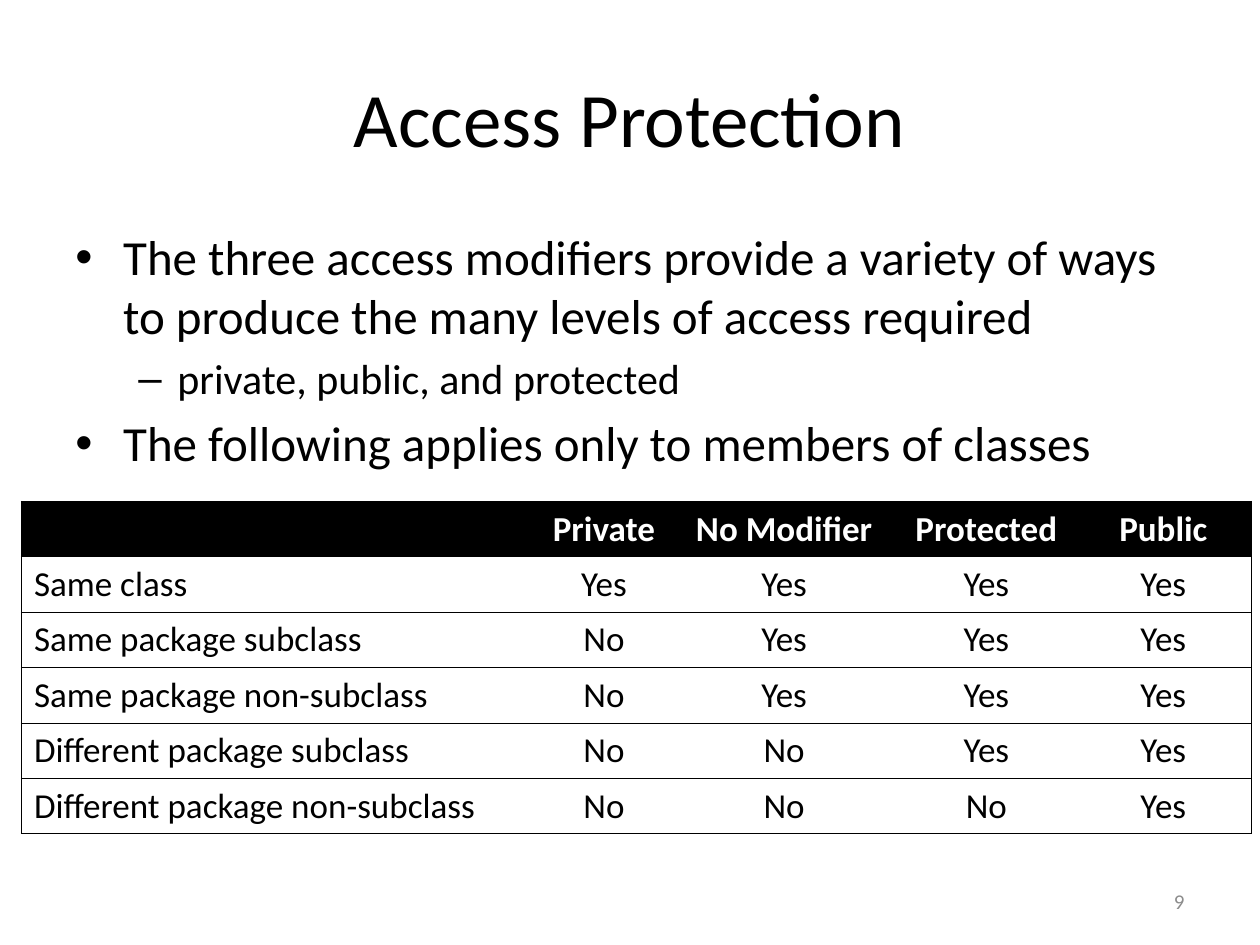
from lxml.etree import SubElement
from pptx import Presentation
from pptx.dml.color import RGBColor
from pptx.enum.text import MSO_ANCHOR as Anchor, PP_ALIGN as Align
from pptx.oxml.ns import qn
from pptx.util import Inches, Pt

COLORS = {"text": "000000", "paper": "FFFFFF", "muted": "8C8C8C", "line": "000000"}
FONT = "Calibri"
LEVELS = [
    {"size": 28, "bullet": "•", "margin": 0.38, "hanging": 0.38},
    {"size": 24, "bullet": "–", "margin": 0.81, "hanging": 0.31},
]
BULLETS = [
    (0, "The three access modifiers provide a variety of ways to produce the many levels of access required"),
    (1, "private, public, and protected"),
    (0, "The following applies only to members of classes"),
]
COLUMN_WIDTHS = [4.09, 1.13, 1.73, 1.48, 1.33]
ROW_HEIGHT = 0.44
ACCESS_ROWS = [
    ["", "Private", "No Modifier", "Protected", "Public"],
    ["Same class", "Yes", "Yes", "Yes", "Yes"],
    ["Same package subclass", "No", "Yes", "Yes", "Yes"],
    ["Same package non-subclass", "No", "Yes", "Yes", "Yes"],
    ["Different package subclass", "No", "No", "Yes", "Yes"],
    ["Different package non-subclass", "No", "No", "No", "Yes"],
]


def set_values(target, values):
    for name, value in values.items():
        setattr(target, name, value)


def write_text(paragraph, text, size, color="text", align=Align.LEFT, bold=False):
    paragraph.alignment = align
    run = paragraph.add_run()
    run.text = text
    set_values(run.font, {"name": FONT, "size": Pt(size), "bold": bold})
    run.font.color.rgb = RGBColor.from_string(COLORS[color])


def add_frame(slide, box, anchor):
    frame = slide.shapes.add_textbox(*map(Inches, box)).text_frame
    set_values(frame, {"word_wrap": True, "vertical_anchor": anchor})
    return frame


def add_line(slide, box, text, size, **style):
    frame = add_frame(slide, box, Anchor.MIDDLE)
    write_text(frame.paragraphs[0], text, size, **style)


def add_bullets(slide, box, items):
    frame = add_frame(slide, box, Anchor.TOP)
    for index, (depth, text) in enumerate(items):
        paragraph = frame.add_paragraph() if index else frame.paragraphs[0]
        level = LEVELS[depth]
        set_values(paragraph, {"level": depth, "space_before": Pt(level["size"] * 0.2)})
        write_text(paragraph, text, level["size"])
        properties = paragraph._p.get_or_add_pPr()
        properties.set("marL", str(Inches(level["margin"])))
        properties.set("indent", str(-Inches(level["hanging"])))
        SubElement(properties, qn("a:buFont"), typeface="Arial")
        SubElement(properties, qn("a:buChar"), char=level["bullet"])


def set_borders(cell, visible):
    properties = cell._tc.get_or_add_tcPr()
    for side in "LRTB":
        line = SubElement(properties, qn(f"a:ln{side}"), w=str(Pt(0.75)))
        if side in visible:
            fill = SubElement(line, qn("a:solidFill"))
            SubElement(fill, qn("a:srgbClr"), val=COLORS["line"])
        else:
            SubElement(line, qn("a:noFill"))


def add_access_table(slide, left, top, rows):
    width, height = sum(COLUMN_WIDTHS), ROW_HEIGHT * len(rows)
    box = map(Inches, (left, top, width, height))
    table = slide.shapes.add_table(len(rows), len(COLUMN_WIDTHS), *box).table
    set_values(table, {"first_row": False, "horz_banding": False})
    for column, column_width in zip(table.columns, COLUMN_WIDTHS):
        column.width = Inches(column_width)
    last = len(COLUMN_WIDTHS) - 1
    for row_index, values in enumerate(rows):
        header = row_index == 0
        for column_index, value in enumerate(values):
            cell = table.cell(row_index, column_index)
            cell.vertical_anchor = Anchor.MIDDLE
            set_borders(cell, "TB" + {0: "L", last: "R"}.get(column_index, ""))
            cell.fill.solid()
            cell.fill.fore_color.rgb = RGBColor.from_string(COLORS["text" if header else "paper"])
            write_text(
                cell.text_frame.paragraphs[0],
                f"{value} " if column_index else value,
                20,
                color="paper" if header else "text",
                align=Align.CENTER if column_index else Align.LEFT,
                bold=header,
            )


def main():
    presentation = Presentation()
    set_values(presentation, {"slide_width": Inches(10), "slide_height": Inches(7.5)})
    slide = presentation.slides.add_slide(presentation.slide_layouts[6])
    add_line(slide, (0.5, 0.3, 9, 1.25), "Access Protection", 44, align=Align.CENTER)
    add_bullets(slide, (0.5, 1.75, 9, 4.95), BULLETS)
    add_line(slide, (7.17, 6.95, 2.33, 0.4), "9", 12, color="muted", align=Align.RIGHT)
    add_access_table(slide, 0.17, 3.98, ACCESS_ROWS)
    presentation.save("out.pptx")


if __name__ == "__main__":
    main()
